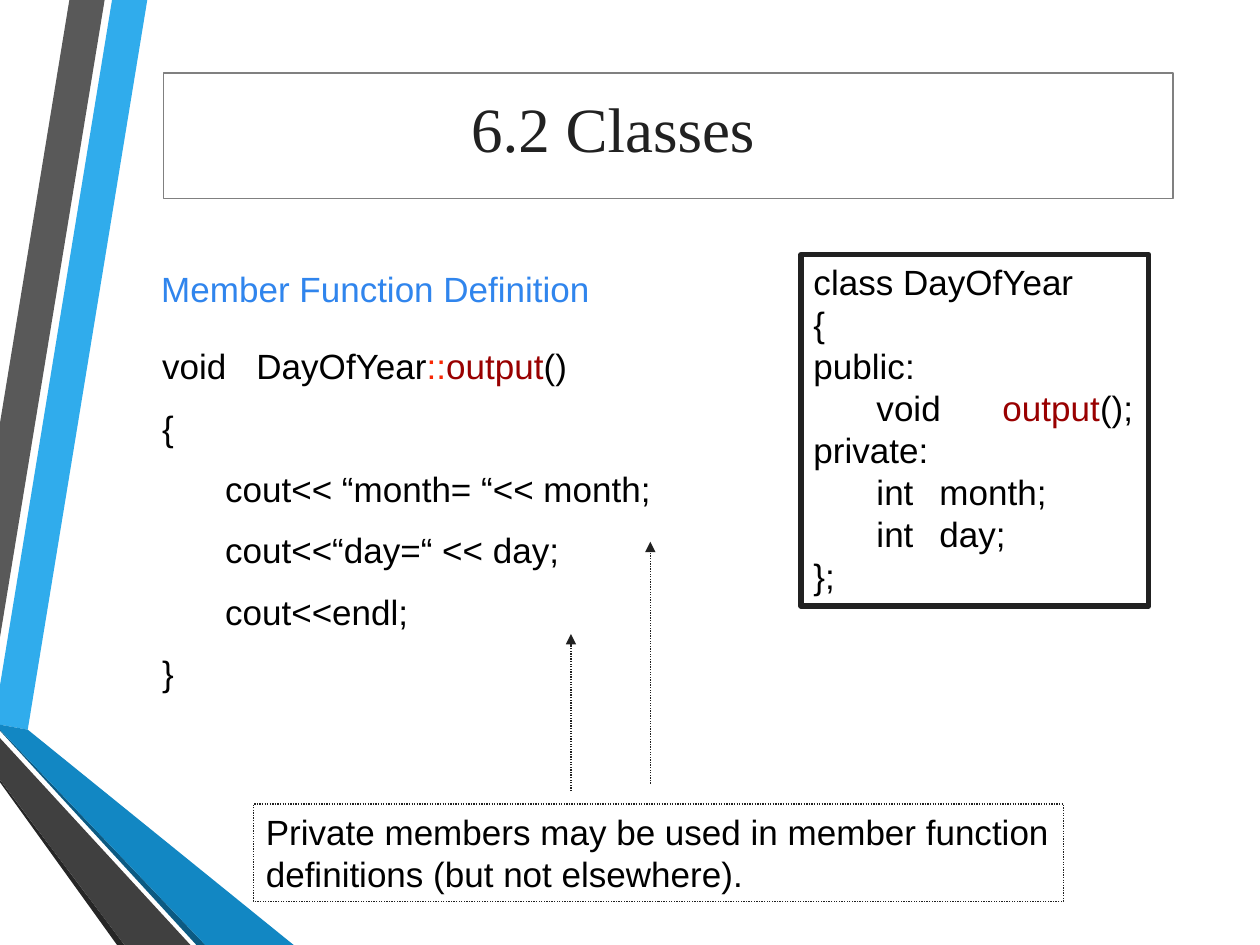
from dataclasses import dataclass

from lxml.etree import SubElement
from pptx import Presentation
from pptx.dml.color import RGBColor
from pptx.enum.dml import MSO_LINE
from pptx.enum.shapes import MSO_CONNECTOR, MSO_SHAPE
from pptx.enum.text import MSO_ANCHOR, PP_ALIGN
from pptx.oxml.ns import qn
from pptx.util import Cm, Pt

COLORS = {
    "white": "FFFFFF", "black": "000000", "ink": "212121", "frame": "808080",
    "sky": "30ACEC", "blue": "1287C3", "navy": "0C5A82",
    "gray": "595959", "charcoal": "404040", "coal": "262626",
    "heading": "3085ED", "scope": "F82704", "function": "990000",
}
TAB_STOPS = (1.27, 2.54, 3.81)


@dataclass
class Band:
    color: str
    corners: list[tuple[float, float]]


@dataclass
class Box:
    left: float
    top: float
    width: float
    height: float
    fill: str | None = None
    line: str | None = None
    line_width: float = 0.75
    dotted: bool = False


@dataclass
class Line:
    """One paragraph: (text, color) runs and its tab stops in cm."""
    runs: list[tuple[str, str]]
    tabs: tuple[float, ...] = TAB_STOPS


@dataclass
class Arrow:
    x: float
    start: float
    end: float


BANDS = [
    Band("sky", [(0, 13.82), (0, 14.61), (0.56, 14.71), (2.97, 0), (2.26, 0)]),
    Band("gray", [(2.11, 0), (1.4, 0), (0, 8.53), (0, 12.85)]),
    Band("coal", [(0, 15.72), (0, 15.77), (2.36, 19.05), (2.51, 19.05)]),
    Band("navy", [(0, 14.71), (0, 14.73), (3.96, 19.05), (4.14, 19.05)]),
    Band("blue", [(0, 14.71), (4.14, 19.05), (5.92, 19.05), (0.56, 14.71), (0, 14.61)]),
    Band("charcoal", [(0, 15.72), (2.51, 19.05), (3.84, 19.05), (0, 14.88)]),
]
ARROWS = [Arrow(11.51, 15.95, 12.78), Arrow(13.11, 15.8, 10.92)]


def plain(*texts: str, color: str = "black") -> list[Line]:
    return [Line([(text, color)]) for text in texts]


CLASS_CODE = [
    *plain("class DayOfYear", "{", "public:"),
    Line([("\tvoid \t", "black"), ("output", "function"), ("();", "black")]),
    *plain("private:", "\tint \tmonth;", "\tint\tday;", "};"),
]
DEFINITION_CODE = [
    Line([("void\tDayOfYear", "black"), ("::", "scope"),
          ("output", "function"), ("()", "black")], tabs=(1.9,)),
    *plain("{", "\tcout<< “month= “<< month;", "\tcout<<“day=“ << day;",
           "\tcout<<endl;", "}"),
]


def rgb(name: str) -> RGBColor:
    return RGBColor.from_string(COLORS[name])


def draw_band(slide, band: Band) -> None:
    first, *rest = [(Cm(x), Cm(y)) for x, y in band.corners]
    builder = slide.shapes.build_freeform(*first)
    builder.add_line_segments(rest, close=True)
    shape = builder.convert_to_shape()
    shape.shadow.inherit = False
    shape.fill.solid()
    shape.fill.fore_color.rgb = rgb(band.color)
    shape.line.fill.background()


def draw_box(slide, box: Box):
    """Draw a rectangle, or a text box when it has no line."""
    place = [Cm(n) for n in (box.left, box.top, box.width, box.height)]
    if not box.line:
        return slide.shapes.add_textbox(*place)
    shape = slide.shapes.add_shape(MSO_SHAPE.RECTANGLE, *place)
    shape.shadow.inherit = False
    if box.fill:
        shape.fill.solid()
        shape.fill.fore_color.rgb = rgb(box.fill)
    else:
        shape.fill.background()
    shape.line.color.rgb = rgb(box.line)
    shape.line.width = Pt(box.line_width)
    if box.dotted:
        shape.line.dash_style = MSO_LINE.ROUND_DOT
    return shape


def write(shape, lines: list[Line], size: float = 20, font: str = "Arial",
          gap: float = 0, anchor: MSO_ANCHOR = MSO_ANCHOR.TOP) -> None:
    """Fill a shape with lines, with gap points between them."""
    frame = shape.text_frame
    frame.word_wrap = True
    frame.vertical_anchor = anchor
    for index, line in enumerate(lines):
        paragraph = frame.add_paragraph() if index else frame.paragraphs[0]
        paragraph.alignment = PP_ALIGN.LEFT
        paragraph.space_before = Pt(gap if index else 0)
        paragraph.font.size = Pt(size)
        paragraph.font.name = font
        if any("\t" in text for text, _ in line.runs):
            set_tabs(paragraph, line.tabs)
        for text, color in line.runs:
            run = paragraph.add_run()
            run.text = text
            run.font.color.rgb = rgb(color)


def set_tabs(paragraph, stops: tuple[float, ...]) -> None:
    properties = paragraph._p.get_or_add_pPr()
    tabs = properties.makeelement(qn("a:tabLst"), {})
    for stop in stops:
        SubElement(tabs, qn("a:tab"), pos=str(Cm(stop)), algn="l")
    properties.find(qn("a:defRPr")).addprevious(tabs)


def add_text_shadow(run) -> None:
    effects = run._r.get_or_add_rPr().makeelement(qn("a:effectLst"), {})
    shadow = SubElement(effects, qn("a:outerShdw"), dist=str(Pt(2)), dir="2700000")
    SubElement(shadow, qn("a:srgbClr"), val="DDDDDD")
    run._r.rPr.find(qn("a:solidFill")).addnext(effects)


def draw_arrow(slide, arrow: Arrow) -> None:
    connector = slide.shapes.add_connector(
        MSO_CONNECTOR.STRAIGHT,
        Cm(arrow.x), Cm(arrow.start), Cm(arrow.x), Cm(arrow.end))
    connector.line.color.rgb = rgb("ink")
    connector.line.width = Pt(0.75)
    connector.line.dash_style = MSO_LINE.ROUND_DOT
    SubElement(connector.line._get_or_add_ln(), qn("a:tailEnd"), type="triangle")
    SubElement(connector._element.spPr, qn("a:effectLst"))


def main() -> None:
    deck = Presentation()
    deck.slide_width, deck.slide_height = Cm(25.4), Cm(19.05)
    slide = deck.slides.add_slide(deck.slide_layouts[6])

    for band in BANDS:
        draw_band(slide, band)

    draw_box(slide, Box(3.3, 1.47, 20.35, 2.54, "white", "frame"))
    title = draw_box(slide, Box(9.25, 0.97, 13.94, 2.49))
    write(title, plain("6.2 Classes", color="ink"), 36, "Times New Roman",
          anchor=MSO_ANCHOR.BOTTOM)
    add_text_shadow(title.text_frame.paragraphs[0].runs[0])

    declaration = draw_box(slide, Box(16.15, 5.13, 7.01, 7.09, "white", "ink", 3))
    declaration.text_frame.margin_right = 0
    write(declaration, CLASS_CODE)

    definition = draw_box(slide, Box(3.02, 6.83, 12.9, 7.52))
    write(definition, DEFINITION_CODE, gap=11)

    heading = draw_box(slide, Box(3, 5.26, 9.22, 1.12))
    write(heading, plain("Member Function Definition", color="heading"))

    note = draw_box(slide, Box(5.11, 16.21, 16.33, 1.96, line="ink", dotted=True))
    write(note, plain("Private members may be used in member function "
                      "definitions (but not elsewhere)."))

    for arrow in ARROWS:
        draw_arrow(slide, arrow)

    deck.save("out.pptx")


if __name__ == "__main__":
    main()
